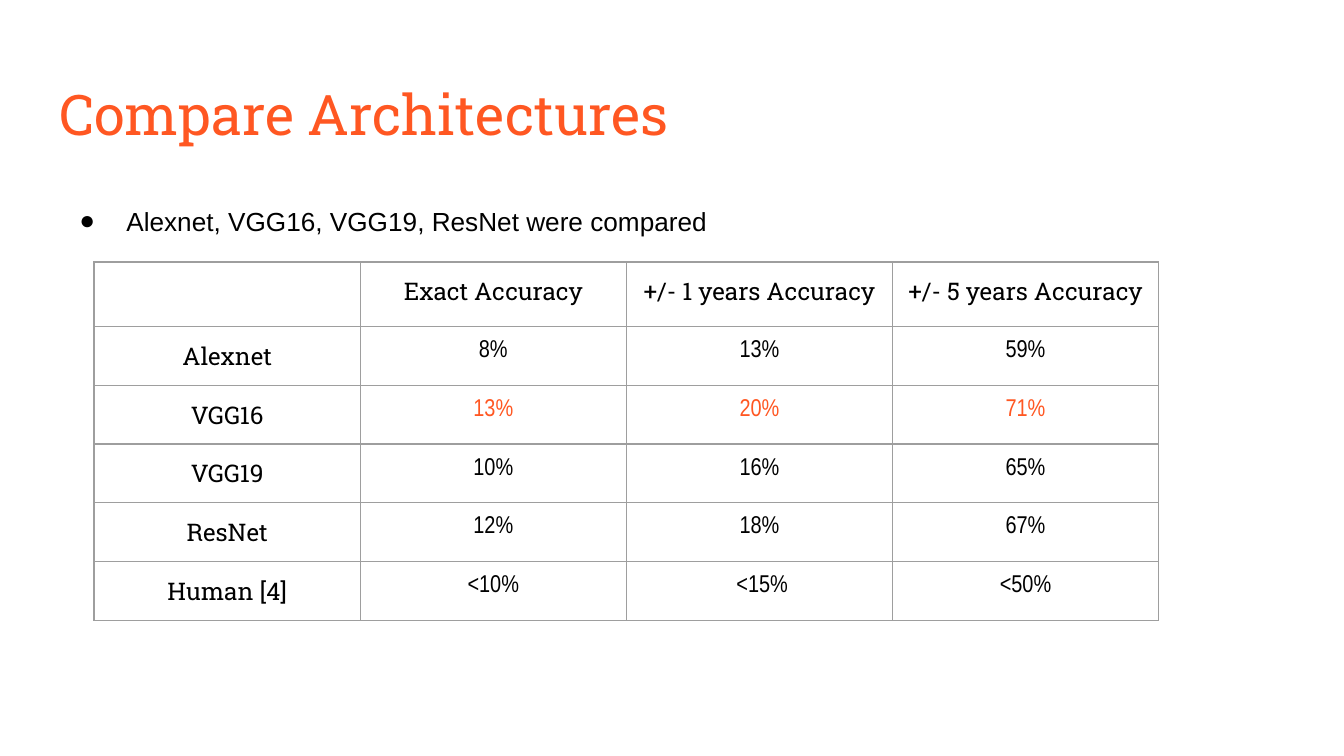
from lxml import etree
from pptx import Presentation
from pptx import util as u
from pptx.dml.color import RGBColor
from pptx.enum import text
from pptx.oxml import ns

COLORS = {"accent": "FF5722", "ink": "000000", "border": "9E9E9E"}
MARGINS = ("margin_left", "margin_top", "margin_right", "margin_bottom")


def write(para, words, size, face, color, align):
    """Put one formatted run in a paragraph."""
    para.alignment = align
    span = para.add_run()
    span.text = words
    formats = {"size": u.Pt(size), "name": face, "bold": False}
    for name, value in formats.items():
        setattr(span.font, name, value)
    span.font.color.rgb = RGBColor.from_string(COLORS[color])


def add_xml(parent, tag, **attributes):
    """Append a drawing element and return it."""
    return etree.SubElement(parent, ns.qn(tag), attributes)


# Widescreen page, 16 to 9
deck = Presentation()
deck.slide_width, deck.slide_height = u.Inches(10), u.Inches(10 * 9 / 16)
page = deck.slides.add_slide(deck.slide_layouts[1])
title, body = page.shapes.title, page.placeholders[1]

# Placeholder positions and frames
places = [(title, (0.34, 0.49, 9.32, 0.63)), (body, (0.34, 1.39, 8.84, 3.67))]
for box, lengths in places:
    for name, length in zip(("left", "top", "width", "height"), lengths):
        setattr(box, name, u.Inches(length))
    frame_formats = {
        "word_wrap": True,
        "auto_size": text.MSO_AUTO_SIZE.NONE,
        "vertical_anchor": text.MSO_ANCHOR.TOP,
        **dict.fromkeys(MARGINS, u.Inches(0.1)),
    }
    for name, value in frame_formats.items():
        setattr(box.text_frame, name, value)

# Title
write(title.text_frame.paragraphs[0], "Compare Architectures",
      30, "Roboto Slab", "accent", text.PP_ALIGN.LEFT)

# Bulleted list
para = body.text_frame.paragraphs[0]
write(para, "Alexnet, VGG16, VGG19, ResNet were compared",
      14, "Arial", "ink", text.PP_ALIGN.LEFT)
para.line_spacing = 1.15
para.space_before = u.Pt(0)
props = para._p.get_or_add_pPr()
props.set("marL", str(u.Inches(0.5)))
props.set("indent", str(u.Inches(-0.35)))
add_xml(add_xml(props, "a:buClr"), "a:srgbClr", val=COLORS["ink"])
add_xml(props, "a:buFont", typeface="Arial")
add_xml(props, "a:buChar", char="●")

# Accuracy table
results = [
    ("", "Exact Accuracy", "+/- 1 years Accuracy", "+/- 5 years Accuracy"),
    ("Alexnet", "8%", "13%", "59%"),
    ("VGG16", "13%", "20%", "71%"),
    ("VGG19", "10%", "16%", "65%"),
    ("ResNet", "12%", "18%", "67%"),
    ("Human [4]", "<10%", " <15%", "<50%"),
]
best = "VGG16"
table = page.shapes.add_table(
    len(results), len(results[0]), u.Inches(0.7), u.Inches(1.95),
    u.Inches(7.92), u.Inches(2.58)).table
table.first_row = table.horz_banding = False
for column in table.columns:
    column.width = u.Inches(1.98)

for r, record in enumerate(results):
    table.rows[r].height = u.Inches(0.42 if r else 0.48)
    for c, words in enumerate(record):
        cell = table.cell(r, c)
        for name in MARGINS:
            setattr(cell, name, u.Inches(0.1))
        cell.vertical_anchor = text.MSO_ANCHOR.TOP
        para = cell.text_frame.paragraphs[0]
        is_value = r > 0 and c > 0
        if words:
            write(para, words, 13,
                  "Arial Narrow" if is_value else "Roboto Slab",
                  "accent" if is_value and record[0] == best else "ink",
                  text.PP_ALIGN.CENTER)
        else:
            add_xml(para._p, "a:endParaRPr", sz="1300")

        # Borders come before the fill in the cell properties
        cell_props = cell._tc.get_or_add_tcPr()
        for side in ("a:lnL", "a:lnR", "a:lnT", "a:lnB"):
            line = add_xml(cell_props, side, w=str(u.Pt(0.75)))
            add_xml(add_xml(line, "a:solidFill"), "a:srgbClr",
                    val=COLORS["border"])
        cell.fill.background()

deck.save("out.pptx")
